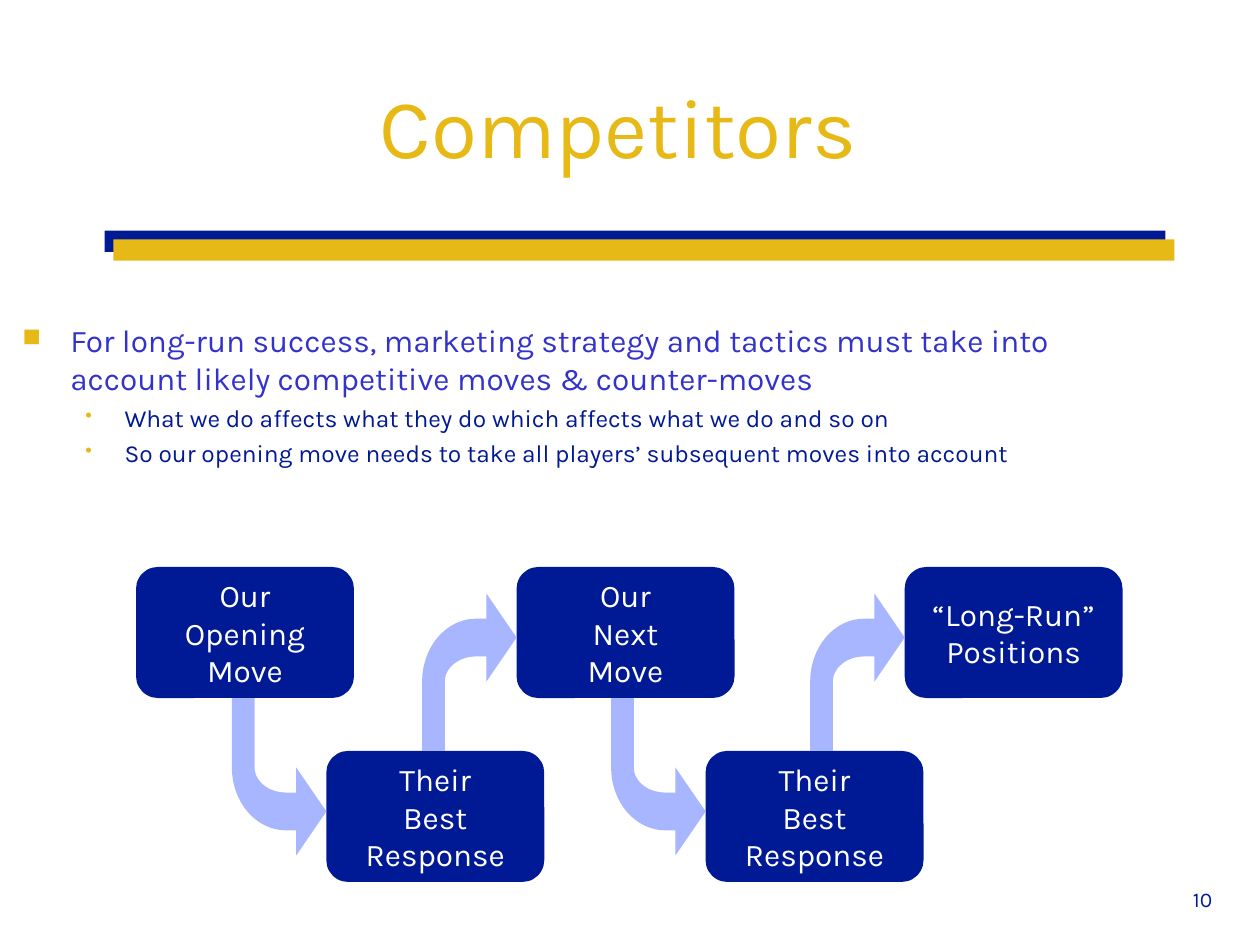
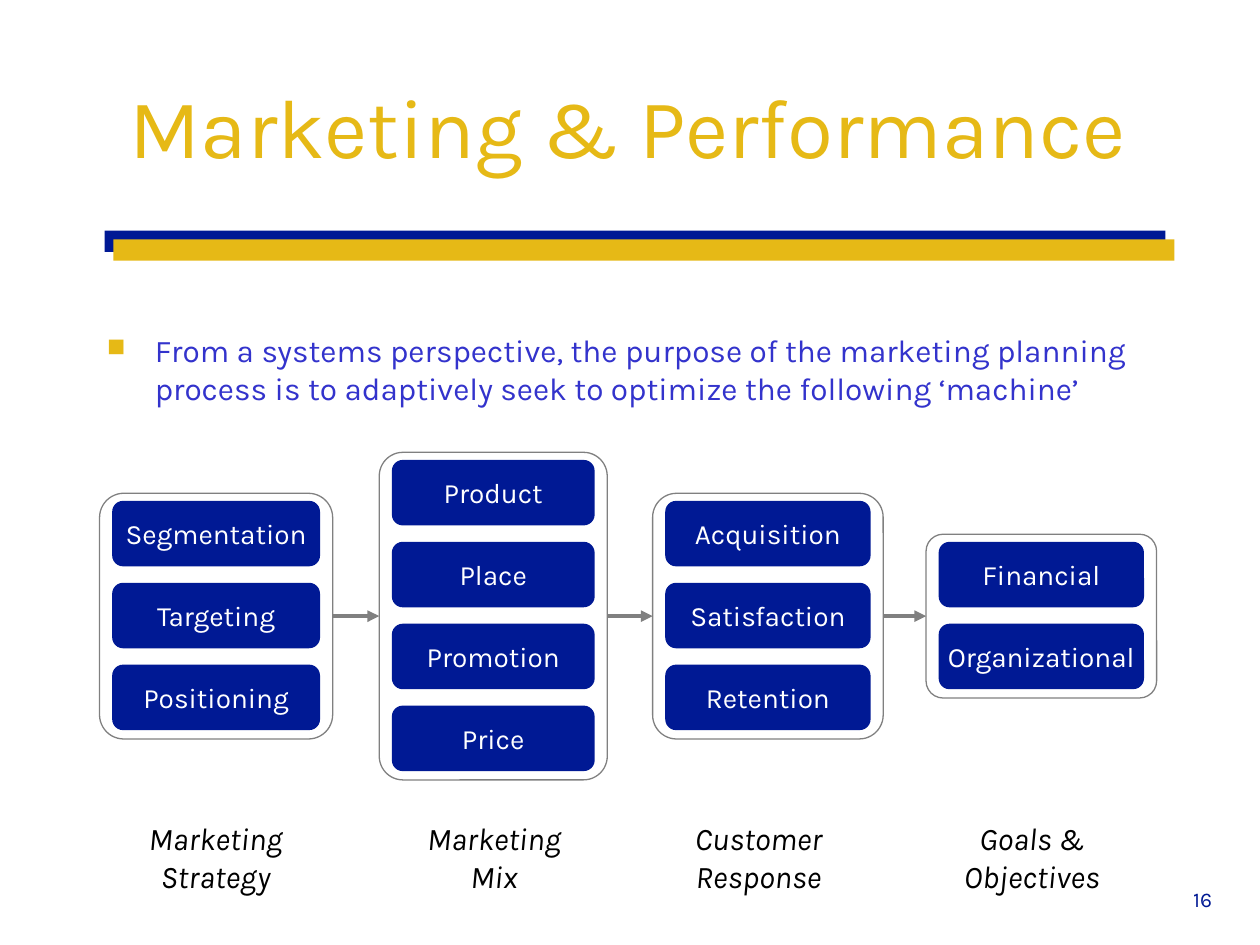
from dataclasses import dataclass
from itertools import pairwise
from math import cos, pi, sin
from typing import Optional

from lxml.etree import SubElement
from pptx import Presentation
from pptx.dml.color import RGBColor
from pptx.enum.shapes import MSO_CONNECTOR as Connector, MSO_SHAPE as Shape
from pptx.enum.text import MSO_ANCHOR as Anchor, PP_ALIGN as Align
from pptx.oxml.ns import qn
from pptx.util import Inches, Pt

NAVY = RGBColor(0x00, 0x19, 0x94)
GOLD = RGBColor(0xE6, 0xB9, 0x16)
VIOLET = RGBColor(0x33, 0x33, 0xCC)
PERIWINKLE = RGBColor(0xA7, 0xB6, 0xFF)
GRAY = RGBColor(0x80, 0x80, 0x80)
WHITE = RGBColor(0xFF, 0xFF, 0xFF)
BLACK = RGBColor(0x00, 0x00, 0x00)
FONT = "Karla"


@dataclass(frozen=True)
class BulletStyle:
    symbol: str
    margin: float
    hanging: float
    size: float
    color: RGBColor
    space_before: float


@dataclass(frozen=True)
class Move:
    left: float
    lines: list[str]
    is_response: bool = False


@dataclass(frozen=True)
class Stage:
    left: float
    width: float
    label_center: float
    label: list[str]
    items: list[str]


MAIN_POINT = BulletStyle("■", 0.38, 0.38, 18, VIOLET, 11.2)
SUB_POINT = BulletStyle("•", 0.81, 0.31, 14, NAVY, 3.5)

# Sequence of competitive moves
MOVE_WIDTH, MOVE_HEIGHT = 1.73, 1.04
OWN_TOP, RESPONSE_TOP = 4.5, 5.96
ARROW_WIDTH, ARROW_HEIGHT = 0.75, 1.25
RESPONSE_LINES = ["Their", "Best", "Response"]
MOVES = [
    Move(1.08, ["Our", "Opening", "Move"]),
    Move(2.59, RESPONSE_LINES, is_response=True),
    Move(4.1, ["Our", "Next", "Move"]),
    Move(5.6, RESPONSE_LINES, is_response=True),
    Move(7.18, ["“Long-Run”", "Positions"]),
]

# Stages of the marketing machine
STAGE_MIDDLE = 4.89
ITEM_PITCH, ITEM_HEIGHT = 0.65, 0.52
ITEM_SIDE_GAP, ITEM_TOP_GAP = 0.1, 0.06
LABEL_WIDTH = 1.34
STAGES = [
    Stage(0.79, 1.85, 1.71, ["Marketing", "Strategy"],
          ["Segmentation", "Targeting", "Positioning"]),
    Stage(3.01, 1.81, 3.92, ["Marketing", "Mix"],
          ["Product", "Place", "Promotion", "Price"]),
    Stage(5.18, 1.83, 6.02, ["Customer", "Response"],
          ["Acquisition", "Satisfaction", "Retention"]),
    Stage(7.35, 1.83, 8.19, ["Goals &", "Objectives"],
          ["Financial", "Organizational"]),
]


def box(left: float, top: float, width: float, height: float) -> tuple:
    return Inches(left), Inches(top), Inches(width), Inches(height)


def write_text(frame, lines: list[str], *, size: float = 18, color: RGBColor = BLACK,
               italic: bool = False, align=Align.CENTER, anchor=Anchor.TOP,
               wrap: bool = False) -> None:
    """Fill a text frame with one uniformly formatted paragraph per line."""
    frame.word_wrap = wrap
    frame.vertical_anchor = anchor
    for index, text in enumerate(lines):
        paragraph = frame.add_paragraph() if index else frame.paragraphs[0]
        paragraph.alignment = align
        run = paragraph.add_run()
        run.text = text
        run.font.name = FONT
        run.font.size = Pt(size)
        run.font.italic = italic
        run.font.color.rgb = color


def add_text_box(slide, bounds: tuple, lines: list[str], **text_format) -> None:
    write_text(slide.shapes.add_textbox(*bounds).text_frame, lines, **text_format)


def add_bullets(slide, bounds: tuple, points: list[tuple[str, BulletStyle]]) -> None:
    frame = slide.shapes.add_textbox(*bounds).text_frame
    write_text(frame, [text for text, _ in points], align=Align.LEFT, wrap=True)
    for index, (paragraph, (_, style)) in enumerate(zip(frame.paragraphs, points)):
        properties = paragraph._p.get_or_add_pPr()
        properties.set("marL", str(Inches(style.margin)))
        properties.set("indent", str(-Inches(style.hanging)))
        bullet_color = SubElement(properties, qn("a:buClr"))
        SubElement(bullet_color, qn("a:srgbClr"), val=str(GOLD))
        SubElement(properties, qn("a:buSzPct"), val="80000")
        SubElement(properties, qn("a:buChar"), char=style.symbol)
        if index:
            paragraph.space_before = Pt(style.space_before)
        font = paragraph.runs[0].font
        font.size = Pt(style.size)
        font.color.rgb = style.color


def paint(shape, fill: Optional[RGBColor] = None, line: Optional[RGBColor] = None) -> None:
    shape.shadow.inherit = False
    if fill is None:
        shape.fill.background()
    else:
        shape.fill.solid()
        shape.fill.fore_color.rgb = fill
    if line is None:
        shape.line.fill.background()
    else:
        shape.line.color.rgb = line
        shape.line.width = Pt(0.75)


def add_block(slide, bounds: tuple, lines: list[str], size: float) -> None:
    """Draw a navy rounded block with centred white text."""
    block = slide.shapes.add_shape(Shape.ROUNDED_RECTANGLE, *bounds)
    paint(block, fill=NAVY)
    write_text(block.text_frame, lines, size=size, color=WHITE, anchor=Anchor.MIDDLE)


def arc(radius_x: float, radius_y: float, steps: int = 16) -> list[tuple[float, float]]:
    """Quarter ellipse from the top of the bend to its left side."""
    angles = [pi / 2 * step / steps for step in range(steps + 1)]
    return [(0.43 - radius_x * sin(angle), 0.7 - radius_y * cos(angle)) for angle in angles]


def add_bent_arrow(slide, left: float, top: float, downward: bool) -> None:
    points = [(ARROW_WIDTH, 0.35), (0.51, 0), (0.51, 0.2), *arc(0.43, 0.5),
              (0, ARROW_HEIGHT), (0.18, ARROW_HEIGHT), *reversed(arc(0.25, 0.2)),
              (0.51, 0.5), (0.51, 0.7)]
    outline = [(Inches(left + x), Inches(top + (ARROW_HEIGHT - y if downward else y)))
               for x, y in points]
    builder = slide.shapes.build_freeform(*outline[0], scale=1.0)
    builder.add_line_segments(outline[1:], close=True)
    paint(builder.convert_to_shape(), fill=PERIWINKLE)


def add_arrow(slide, source, target) -> None:
    connector = slide.shapes.add_connector(Connector.STRAIGHT, 0, 0, 0, 0)
    connector.begin_connect(source, 3)
    connector.end_connect(target, 1)
    connector.line.color.rgb = GRAY
    connector.line.width = Pt(2.25)
    SubElement(connector.line._get_or_add_ln(), qn("a:tailEnd"), type="triangle")
    SubElement(connector._element.spPr, qn("a:effectLst"))


def add_base_slide(presentation, title: str, number: int):
    """Add a blank slide with the shared double band, number and title."""
    slide = presentation.slides.add_slide(presentation.slide_layouts[6])
    for left, top, color in [(0.83, 1.83, NAVY), (0.9, 1.9, GOLD)]:
        band = slide.shapes.add_shape(Shape.RECTANGLE, *box(left, top, 8.42, 0.17))
        paint(band, fill=color)
    add_text_box(slide, box(9.17, 6.99, 0.75, 0.5), [str(number)],
                 size=12, color=NAVY, wrap=True)
    add_text_box(slide, box(0.14, 0.33, 9.69, 1.33), [title],
                 size=48, color=GOLD, anchor=Anchor.MIDDLE, wrap=True)
    return slide


def build_competitors(presentation) -> None:
    slide = add_base_slide(presentation, "Competitors ", 10)
    add_bullets(slide, box(0.08, 2.5, 8.75, 1.4), [
        ("For long-run success, marketing strategy and tactics must take into account "
         "likely competitive moves & counter-moves", MAIN_POINT),
        ("What we do affects what they do which affects what we do and so on", SUB_POINT),
        ("So our opening move needs to take all players’ subsequent moves into account",
         SUB_POINT),
    ])
    for index, move in enumerate(MOVES):
        top = RESPONSE_TOP if move.is_response else OWN_TOP
        add_block(slide, box(move.left, top, MOVE_WIDTH, MOVE_HEIGHT), move.lines, 18)
        if index:
            # Arrows start at the edge of the preceding block
            arrow_top = (OWN_TOP + MOVE_HEIGHT if move.is_response
                         else RESPONSE_TOP - ARROW_HEIGHT)
            add_bent_arrow(slide, move.left - ARROW_WIDTH, arrow_top, move.is_response)


def add_stage(slide, stage: Stage):
    """Draw a framed column of items with its label; return the frame."""
    height = len(stage.items) * ITEM_PITCH
    top = STAGE_MIDDLE - height / 2
    frame = slide.shapes.add_shape(Shape.ROUNDED_RECTANGLE,
                                   *box(stage.left, top, stage.width, height))
    frame.adjustments[0] = 0.104
    paint(frame, line=GRAY)
    for row, item in enumerate(stage.items):
        bounds = box(stage.left + ITEM_SIDE_GAP, top + ITEM_TOP_GAP + row * ITEM_PITCH,
                     stage.width - 2 * ITEM_SIDE_GAP, ITEM_HEIGHT)
        add_block(slide, bounds, [item], 16)
    add_text_box(slide, box(stage.label_center - LABEL_WIDTH / 2, 6.45, LABEL_WIDTH, 0.7),
                 stage.label, italic=True)
    return frame


def build_performance(presentation) -> None:
    slide = add_base_slide(presentation, "Marketing & Performance", 16)
    add_bullets(slide, box(0.75, 2.58, 8.75, 0.75), [
        ("From a systems perspective, the purpose of the marketing planning process is to "
         "adaptively seek to optimize the following ‘machine’", MAIN_POINT),
    ])
    frames = [add_stage(slide, stage) for stage in STAGES]
    for source, target in pairwise(frames):
        add_arrow(slide, source, target)


def main() -> None:
    presentation = Presentation()
    presentation.slide_width = Inches(10)
    presentation.slide_height = Inches(7.5)
    build_competitors(presentation)
    build_performance(presentation)
    presentation.save("out.pptx")


if __name__ == "__main__":
    main()
